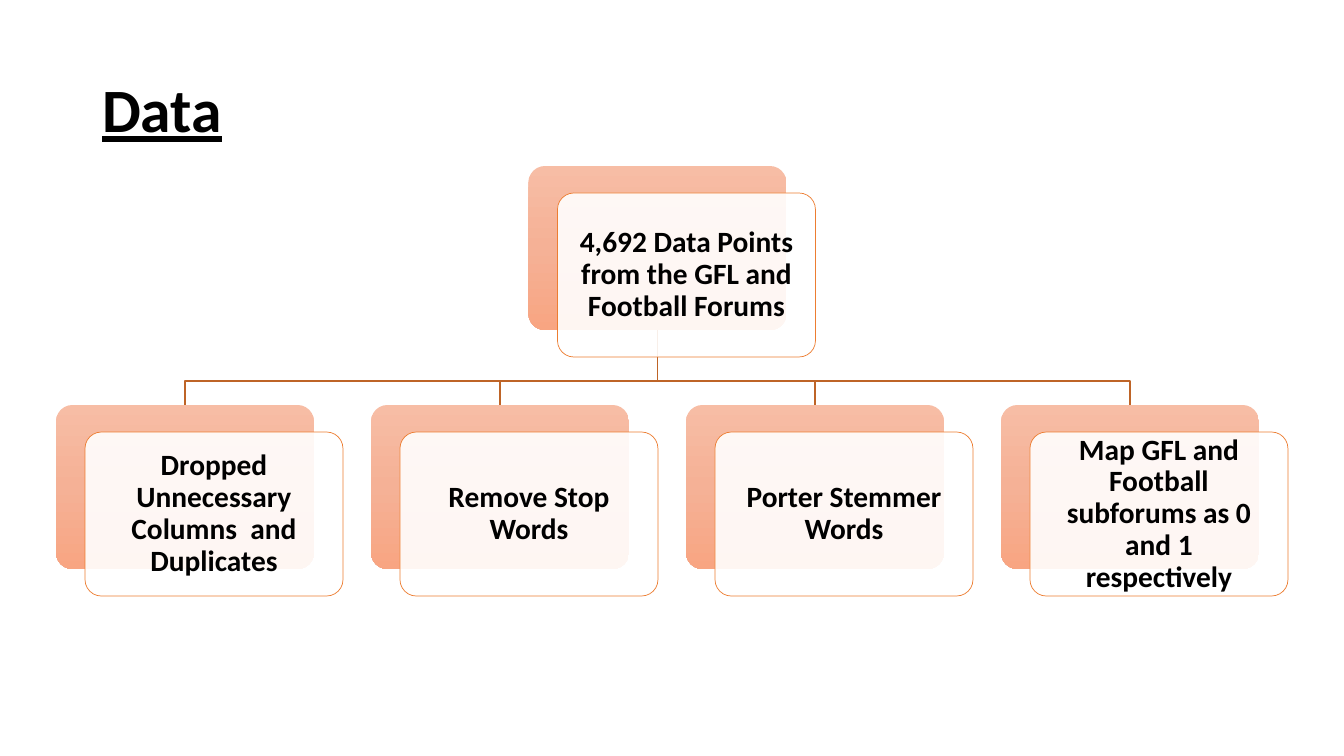
import copy

import pptx
import pptx.dml.color
import pptx.enum.shapes
import pptx.enum.text
import pptx.oxml
import pptx.oxml.ns
import pptx.util

RGBColor = pptx.dml.color.RGBColor
BLACK = RGBColor(0x00, 0x00, 0x00)
WHITE = RGBColor(0xFF, 0xFF, 0xFF)
ORANGE = RGBColor(0xED, 0x7D, 0x31)
BRANCH_BROWN = RGBColor(0xBE, 0x64, 0x27)
GRADIENT = [(0, RGBColor(0xF7, 0xBD, 0xA5)),
            (0.5, RGBColor(0xF5, 0xB1, 0x96)),
            (1, RGBColor(0xF8, 0xA5, 0x82))]

FONT = "Calibri"
PX = 914400 / 100.8

CARD_WIDTH, CARD_HEIGHT = 258, 164
FRONT_SHIFT_X, FRONT_SHIFT_Y = 29, 27
CARD_PADDING = 14
STEP_PITCH = 315
STEP_TOP = 239
BRANCH_RISE = 24

ROOT_TEXT = "4,692 Data Points from the GFL and Football Forums"
STEP_TEXTS = [
    "Dropped Unnecessary Columns  and Duplicates",
    "Remove Stop Words",
    "Porter Stemmer Words",
    "Map GFL and Football subforums as 0 and 1 respectively",
]


def px(length):
    return pptx.util.Emu(round(length * PX))


def write_text(shape, text, size, align, underline=False):
    frame = shape.text_frame
    frame.word_wrap = True
    frame.vertical_anchor = pptx.enum.text.MSO_ANCHOR.MIDDLE
    paragraph = frame.paragraphs[0]
    paragraph.alignment = align
    paragraph.line_spacing = 0.9
    run = paragraph.add_run()
    run.text = text
    run.font.name = FONT
    run.font.size = pptx.util.Pt(size)
    run.font.bold = True
    run.font.underline = underline
    run.font.color.rgb = BLACK


def fill_gradient(shape):
    shape.fill.gradient()
    shape.fill.gradient_angle = 270
    stop_list = shape.element.spPr.find(".//" + pptx.oxml.ns.qn("a:gsLst"))
    stop_list.insert(1, copy.deepcopy(stop_list[0]))
    for stop, (position, color) in zip(shape.fill.gradient_stops, GRADIENT):
        stop.position = position
        stop.color.rgb = color


def add_rounded_box(slide, left, top):
    shape = slide.shapes.add_shape(
        pptx.enum.shapes.MSO_SHAPE.ROUNDED_RECTANGLE,
        px(left), px(top), px(CARD_WIDTH), px(CARD_HEIGHT))
    shape.adjustments[0] = 0.1
    shape.shadow.inherit = False
    return shape


def add_card(slide, left, top, text):
    # Gradient panel behind
    back = add_rounded_box(slide, left, top)
    fill_gradient(back)
    back.line.fill.background()

    # Translucent white panel with the text
    front = add_rounded_box(slide, left + FRONT_SHIFT_X, top + FRONT_SHIFT_Y)
    front.fill.solid()
    front.fill.fore_color.rgb = WHITE
    white = front.element.spPr.find(".//" + pptx.oxml.ns.qn("a:srgbClr"))
    pptx.oxml.ns.qn("a:alpha")
    alpha = white.makeelement(pptx.oxml.ns.qn("a:alpha"), {"val": "90000"})
    white.append(alpha)
    front.line.color.rgb = ORANGE
    front.line.width = pptx.util.Pt(0.5)
    frame = front.text_frame
    frame.margin_left = frame.margin_right = px(CARD_PADDING)
    frame.margin_top = frame.margin_bottom = px(CARD_PADDING)
    write_text(front, text, 21, pptx.enum.text.PP_ALIGN.CENTER)


def add_branch(slide, start_x, start_y, end_x, end_y):
    bend_y = end_y - BRANCH_RISE
    builder = slide.shapes.build_freeform(px(start_x), px(start_y), scale=1.0)
    points = [(start_x, bend_y), (end_x, bend_y), (end_x, end_y)]
    builder.add_line_segments([(px(x), px(y)) for x, y in points], close=False)
    branch = builder.convert_to_shape()
    branch.shadow.inherit = False
    branch.fill.background()
    branch.line.color.rgb = BRANCH_BROWN
    branch.line.width = pptx.util.Pt(1)


def add_title(slide, left, top, width, height):
    title = slide.shapes.title
    title.left, title.top = px(left), px(top)
    title.width, title.height = px(width), px(height)
    write_text(title, "Data", 44, pptx.enum.text.PP_ALIGN.LEFT, underline=True)


def add_hierarchy(slide, left, top):
    step_lefts = [left + i * STEP_PITCH for i in range(len(STEP_TEXTS))]
    root_left = (step_lefts[0] + step_lefts[-1]) / 2
    step_top = top + STEP_TOP
    half = CARD_WIDTH / 2

    # Branches lie behind the cards
    for step_left in reversed(step_lefts):
        add_branch(slide, root_left + half, top + CARD_HEIGHT,
                   step_left + half, step_top)

    add_card(slide, root_left, top, ROOT_TEXT)
    for step_left, text in zip(step_lefts, STEP_TEXTS):
        add_card(slide, step_left, step_top, text)


def main():
    presentation = pptx.Presentation()
    presentation.slide_width = px(1344)
    presentation.slide_height = px(756)
    slide = presentation.slides.add_slide(presentation.slide_layouts[5])
    add_title(slide, 92, 40, 1159, 146)
    add_hierarchy(slide, 56, 166)
    presentation.save("out.pptx")


if __name__ == "__main__":
    main()
